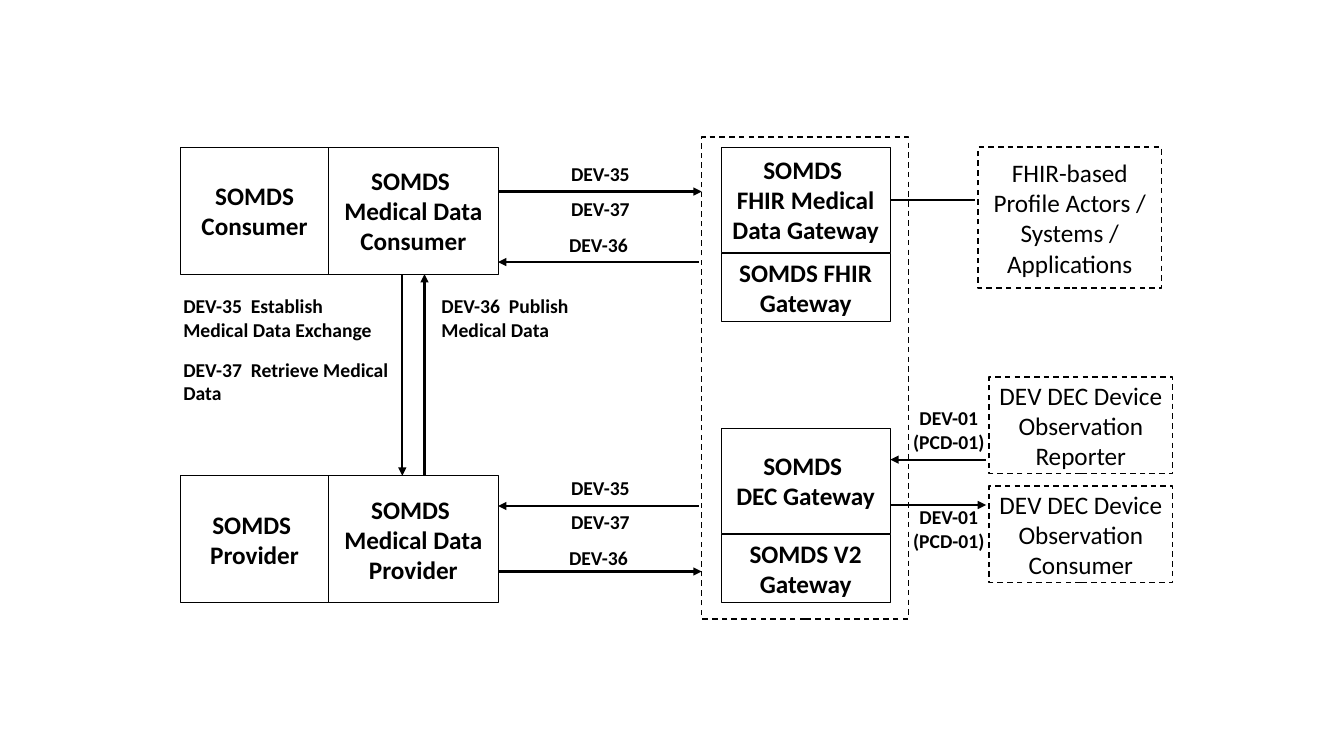
from dataclasses import dataclass

from lxml.etree import SubElement
from pptx import Presentation
from pptx.dml.color import RGBColor
from pptx.enum.dml import MSO_LINE
from pptx.enum.shapes import MSO_CONNECTOR, MSO_SHAPE
from pptx.enum.text import MSO_ANCHOR, PP_ALIGN
from pptx.oxml.ns import qn
from pptx.util import Inches, Pt


@dataclass(frozen=True)
class Theme:
    font: str = "Calibri"
    ink: RGBColor = RGBColor(0, 0, 0)
    paper: RGBColor = RGBColor(255, 255, 255)
    actor_size: int = 18
    label_size: int = 14
    solid_line: float = 0.5
    dashed_line: float = 1
    arrow_line: float = 1.5


THEME = Theme()
WIDTH, HEIGHT = 13.33, 7.5

COLUMNS = {
    "role": (1.79, 1.47),
    "data": (3.26, 1.68),
    "frame": (6.96, 2.05),
    "gateway": (7.15, 1.68),
    "profile": (9.7, 1.82),
    "device": (9.81, 1.82),
}
ROWS = {
    "frame": (1.36, 4.78),
    "consumer": (1.46, 1.26),
    "provider": (4.72, 1.26),
    "FHIR": (1.46, 1.04),
    "FHIR base": (2.51, 0.68),
    "DEC": (4.25, 1.04),
    "DEC base": (5.3, 0.68),
    "profile": (1.46, 1.4),
    "reporter": (3.74, 0.96),
    "receiver": (4.82, 0.96),
}
ACTORS = [
    ("role", "provider", ["SOMDS ", "Provider"]),
    ("data", "provider", ["SOMDS ", "Medical Data Provider"]),
    ("role", "consumer", ["SOMDS Consumer"]),
    ("data", "consumer", ["SOMDS ", "Medical Data Consumer"]),
    ("gateway", "FHIR base", ["SOMDS FHIR Gateway"]),
    ("gateway", "FHIR", ["SOMDS ", "FHIR Medical Data Gateway"]),
    ("gateway", "DEC", ["SOMDS ", "DEC Gateway"]),
    ("gateway", "DEC base", ["SOMDS V2 Gateway"]),
]
OUTSIDERS = [
    ("device", "reporter", ["DEV DEC Device Observation Reporter"]),
    ("device", "receiver", ["DEV DEC Device Observation Consumer"]),
    ("profile", "profile", ["FHIR-based Profile Actors / Systems / Applications"]),
    ("frame", "frame", []),
]
TRANSACTIONS = [
    (1.72, 2.87, 2.26, "DEV-35  Establish Medical Data Exchange"),
    (1.72, 3.5, 2.26, "DEV-37  Retrieve Medical Data"),
    (4.28, 2.87, 1.66, "DEV-36  Publish Medical Data"),
]
DEVICE_LABEL = "DEV-01 (PCD-01)"
DEVICE_LABEL_TOPS = [3.98, 4.96]
CHANNEL_LABELS = [("DEV-35", 0, 2.03), ("DEV-37", 0.34, 2.03), ("DEV-36", 0.7, 1.99)]
CHANNEL_TOPS = [1.56, 4.67]


def right_of(column):
    return sum(COLUMNS[column])


def bottom_of(row):
    return sum(ROWS[row])


DATA_RIGHT = right_of("data")
FRAME_LEFT = COLUMNS["frame"][0]
GATEWAY_RIGHT = right_of("gateway")
PROVIDER_TOP = ROWS["provider"][0]
CONSUMER_BOTTOM = bottom_of("consumer")
GAP = 0.03
ARROWS = [
    ((9.78, 4.56), (GATEWAY_RIGHT, 4.56)),
    ((GATEWAY_RIGHT, 5.01), (9.78, 5.01)),
    ((3.99, CONSUMER_BOTTOM), (3.99, PROVIDER_TOP)),
    ((4.21, PROVIDER_TOP), (4.21, CONSUMER_BOTTOM)),
    ((FRAME_LEFT - GAP, 2.6), (DATA_RIGHT, 2.6)),
    ((DATA_RIGHT, 1.9), (FRAME_LEFT, 1.9)),
    ((FRAME_LEFT - GAP, 5.02), (DATA_RIGHT, 5.02)),
    ((DATA_RIGHT, 5.67), (FRAME_LEFT, 5.67)),
]
PLAIN_LINE = ((GATEWAY_RIGHT, 1.98), (COLUMNS["profile"][0] - GAP, 1.98))


def write(frame, lines, *, size, bold=True, align=PP_ALIGN.CENTER, anchor=MSO_ANCHOR.TOP):
    frame.word_wrap = True
    frame.vertical_anchor = anchor
    for index, text in enumerate(lines):
        para = frame.add_paragraph() if index else frame.paragraphs[0]
        para.alignment = align
        span = para.add_run()
        span.text = text
        span.font.name = THEME.font
        span.font.size = Pt(size)
        span.font.bold = bold
        span.font.color.rgb = THEME.ink


def add_box(page, column, row, lines, dashed=False):
    left, width = COLUMNS[column]
    top, height = ROWS[row]
    box = page.shapes.add_shape(
        MSO_SHAPE.RECTANGLE, Inches(left), Inches(top), Inches(width), Inches(height)
    )
    box.shadow.inherit = False
    box.line.color.rgb = THEME.ink
    if dashed:
        box.fill.background()
        box.line.width = Pt(THEME.dashed_line)
        box.line.dash_style = MSO_LINE.DASH
    else:
        box.fill.solid()
        box.fill.fore_color.rgb = THEME.paper
        box.line.width = Pt(THEME.solid_line)
    write(box.text_frame, lines, size=THEME.actor_size, bold=not dashed,
          anchor=MSO_ANCHOR.MIDDLE)


def add_label(page, left, top, width, text, height=0.57, align=PP_ALIGN.LEFT):
    box = page.shapes.add_textbox(Inches(left), Inches(top), Inches(width), Inches(height))
    write(box.text_frame, [text], size=THEME.label_size, align=align)


def add_line(page, start, end, arrow=True):
    ends = [Inches(value) for value in (*start, *end)]
    line = page.shapes.add_connector(MSO_CONNECTOR.STRAIGHT, *ends)
    line.line.color.rgb = THEME.ink
    line.line.width = Pt(THEME.arrow_line)
    if arrow:
        SubElement(line.line._get_or_add_ln(), qn("a:tailEnd"), type="triangle")
    SubElement(line._element.spPr, qn("a:effectLst"))


def main():
    deck = Presentation()
    deck.slide_width, deck.slide_height = Inches(WIDTH), Inches(HEIGHT)
    page = deck.slides.add_slide(deck.slide_layouts[6])
    for actor in ACTORS:
        add_box(page, *actor)
    for outsider in OUTSIDERS:
        add_box(page, *outsider, dashed=True)
    for start, end in ARROWS:
        add_line(page, start, end)
    add_line(page, *PLAIN_LINE, arrow=False)
    for transaction in TRANSACTIONS:
        add_label(page, *transaction)
    for top in DEVICE_LABEL_TOPS:
        add_label(page, 8.92, top, 0.98, DEVICE_LABEL, align=PP_ALIGN.CENTER)
    for top in CHANNEL_TOPS:
        for text, offset, width in CHANNEL_LABELS:
            add_label(page, DATA_RIGHT, top + offset, width, text, height=0.34,
                      align=PP_ALIGN.CENTER)
    deck.save("out.pptx")


if __name__ == "__main__":
    main()
